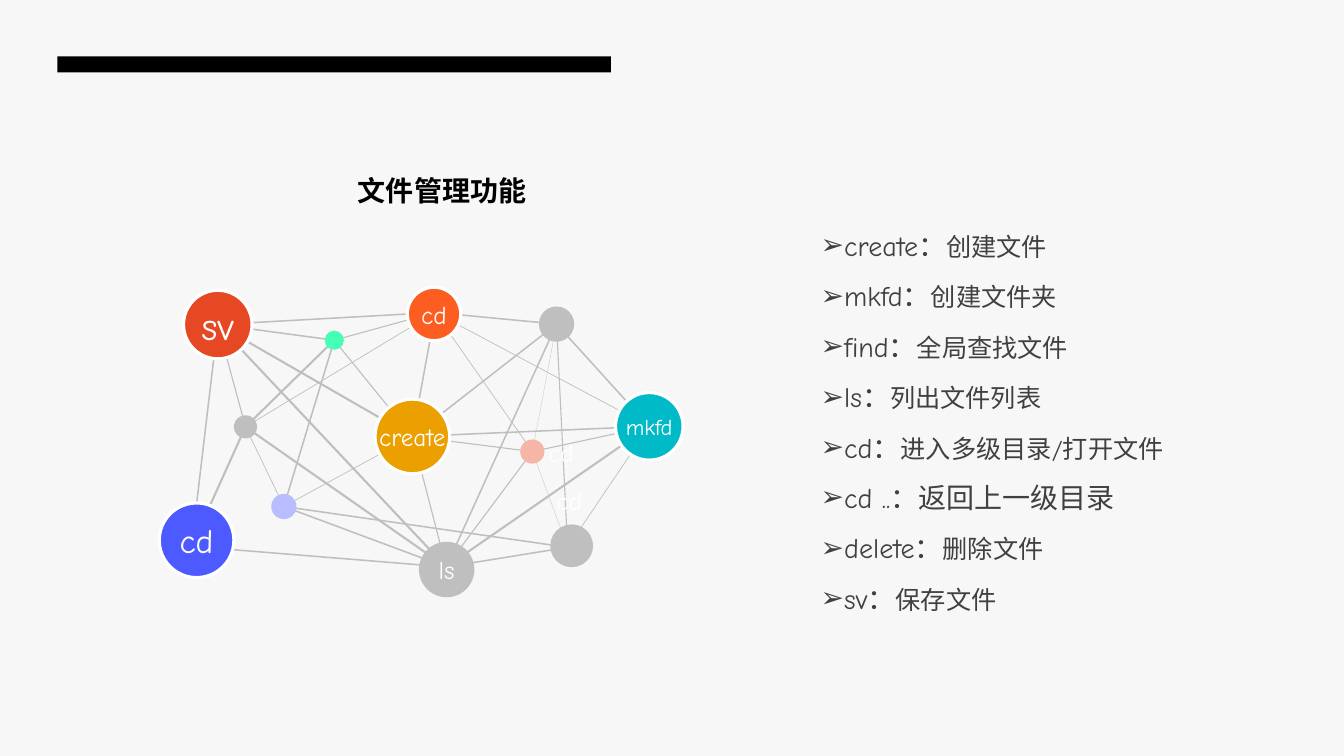
from pptx import Presentation
from pptx.dml.color import RGBColor as RGB
from pptx.enum.shapes import MSO_CONNECTOR as LINE, MSO_SHAPE as SHAPE
from pptx.enum.text import MSO_ANCHOR as ANCHOR, MSO_AUTO_SIZE as FIT, PP_ALIGN as ALIGN
from pptx.oxml.ns import qn
from pptx.util import Inches, Pt
from lxml.etree import SubElement as Sub

PAPER = RGB(0xF7, 0xF7, 0xF7)
BLACK = RGB(0x00, 0x00, 0x00)
WHITE = RGB(0xFF, 0xFF, 0xFF)
INK = RGB(0x40, 0x40, 0x40)
GREY = RGB(0xBF, 0xBF, 0xBF)
CORAL = RGB(0xF5, 0xB6, 0xA7)
MINT = RGB(0x44, 0xFF, 0xB4)
LILAC = RGB(0xB8, 0xBD, 0xFF)
AMBER = RGB(0xEB, 0xA0, 0x00)
TEAL = RGB(0x00, 0xBA, 0xC8)
RED = RGB(0xE6, 0x48, 0x23)
BLUE = RGB(0x4D, 0x5A, 0xFF)
FLAME = RGB(0xFE, 0x5D, 0x21)

LATIN, HAN = "Comic Neue", "Noto Sans CJK SC"
CELL = 0.1  # inches per grid column and row

# name: centre column, centre row, diameter, fill, label, text size
NODES = {
    "coral": (52.8, 44.8, 2.4, CORAL, "", 0),
    "low": (56.7, 54.15, 4.25, GREY, "", 0),
    "west": (24.35, 42.35, 2.3, GREY, "", 0),
    "ls": (44.3, 56.5, 5.5, GREY, "ls", 18),
    "east": (55.2, 32.15, 3.5, GREY, "", 0),
    "mint": (33.15, 33.75, 1.9, MINT, "", 0),
    "lilac": (28.15, 50.25, 2.5, LILAC, "", 0),
    "create": (40.9, 43.3, 7.4, AMBER, "create", 18),
    "mkfd": (64.4, 42.3, 6.7, TEAL, "mkfd", 16),
    "sv": (21.6, 32.2, 6.8, RED, "sv", 28),
    "home": (19.5, 53.6, 7.4, BLUE, "cd", 24),
    "top": (43.05, 31.15, 5.3, FLAME, "cd", 18),
}
# where links meet a node away from its centre
HUBS = {"home": (19, 54.2), "low": (56.3, 54.3), "top": (43.15, 31),
        "ls": (44.25, 56.25)}

# line width: start node and its end nodes
LINKS = {
    1.5: {"west": "home mint ls", "sv": "create ls", "ls": "mkfd"},
    1.1: {"sv": "top home mint", "mint": "lilac", "ls": "low home east",
          "lilac": "ls low", "top": "create east", "create": "mkfd",
          "east": "mkfd create"},
    0.8: {"sv": "west", "mint": "top create", "coral": "ls create mkfd",
          "east": "low", "ls": "create"},
    0.5: {"top": "west coral mkfd", "lilac": "west create", "low": "mkfd"},
    0.2: {"coral": "low east"},
}

# command, meaning, size of the meaning
CMDS = [
    ("create", "创建文件", 18),
    ("mkfd", "创建文件夹", 18),
    ("find", "全局查找文件", 18),
    ("ls", "列出文件列表", 18),
    ("cd", "进入多级目录/打开文件", 18),
    ("cd ..", "返回上一级目录", 20),
    ("delete", "删除文件", 18),
    ("sv", "保存文件", 18),
]


def grid(*cells):
    return [Inches(n * CELL) for n in cells]


class Deck:
    def __init__(self):
        self.prs = Presentation()
        self.prs.slide_width, self.prs.slide_height = Inches(13.33), Inches(7.5)
        self.slide = self.prs.slides.add_slide(self.prs.slide_layouts[1])
        back = self.slide.background.fill
        back.solid()
        back.fore_color.rgb = PAPER
        self.shapes = self.slide.shapes

    def style(self, run, size, color, latin=LATIN, bold=False):
        font = run.font
        font.size, font.bold, font.name = Pt(size), bold, latin
        font.color.rgb = color
        Sub(font._element, qn("a:ea")).set("typeface", HAN)

    def place(self, item, *cells):
        item.left, item.top, item.width, item.height = grid(*cells)

    def bare(self, frame):
        frame.margin_left = frame.margin_right = 0
        frame.margin_top = frame.margin_bottom = 0
        frame.vertical_anchor = ANCHOR.MIDDLE
        frame.word_wrap = False

    def shape(self, kind, cells, fill):
        item = self.shapes.add_shape(kind, *grid(*cells))
        item.shadow.inherit = False
        item.fill.solid()
        item.fill.fore_color.rgb = fill
        item.line.fill.background()
        return item

    def node(self, col, row, wide, fill, label, size):
        box = (col - wide / 2, row - wide / 2, wide, wide)
        item = self.shape(SHAPE.OVAL, box, fill)
        if not label:
            return
        if fill != GREY:
            item.line.color.rgb = WHITE
            item.line.width = Pt(2.25)
        frame = item.text_frame
        frame.text = label
        self.bare(frame)
        para = frame.paragraphs[0]
        para.alignment = ALIGN.CENTER
        self.style(para.runs[0], size, WHITE)

    def link(self, start, end, width):
        ends = [HUBS.get(n, NODES[n][:2]) for n in (start, end)]
        item = self.shapes.add_connector(LINE.STRAIGHT, *grid(*ends[0], *ends[1]))
        item.line.color.rgb = GREY
        item.line.width = Pt(width)
        Sub(item._element.spPr, qn("a:effectLst"))

    def label(self, text, cells):
        frame = self.shapes.add_textbox(*grid(*cells)).text_frame
        frame.text = text
        frame.word_wrap = False
        self.style(frame.paragraphs[0].runs[0], 18, WHITE)

    def title(self, text, cells):
        item = self.shapes.title
        self.place(item, *cells)
        frame = item.text_frame
        frame.text = text
        self.bare(frame)
        frame.auto_size = FIT.NONE
        para = frame.paragraphs[0]
        para.alignment = ALIGN.LEFT
        self.style(para.runs[0], 20, BLACK, HAN, True)

    def list(self, rows, cells):
        item = self.slide.placeholders[1]
        self.place(item, *cells)
        frame = item.text_frame
        frame.word_wrap = True
        frame.auto_size = FIT.SHAPE_TO_FIT_TEXT
        frame.text = "\n".join(name + "：" for name, _, _ in rows)
        for para, (_, note, size) in zip(frame.paragraphs, rows):
            para.line_spacing = 1.5
            para.space_before = para.space_after = Pt(0)
            props = para._p.get_or_add_pPr()
            props.set("marL", str(Inches(0.19)))
            props.set("indent", str(-Inches(0.19)))
            Sub(props, qn("a:buChar")).set("char", "➢")
            self.style(para.runs[0], 20, INK)
            run = para.add_run()
            run.text = note
            self.style(run, size, INK)


def main():
    deck = Deck()
    # Header bar and texts
    deck.shape(SHAPE.RECTANGLE, (5.7, 5.6, 54.9, 1.6), BLACK)
    deck.title("文件管理功能", (35.5, 17.2, 20, 3.4))
    deck.list(CMDS, (80.4, 20.5, 37.6, 40.9))

    # Network: links first, nodes on top
    for width, group in LINKS.items():
        for start, ends in group.items():
            for end in ends.split():
                deck.link(start, end, width)
    for node in NODES.values():
        deck.node(*node)

    # Pale labels
    for col, row in ((53.4, 42.9), (54.2, 47.7)):
        deck.label("cd", (col, row, 4.7, 4))
    deck.prs.save("out.pptx")


if __name__ == "__main__":
    main()
